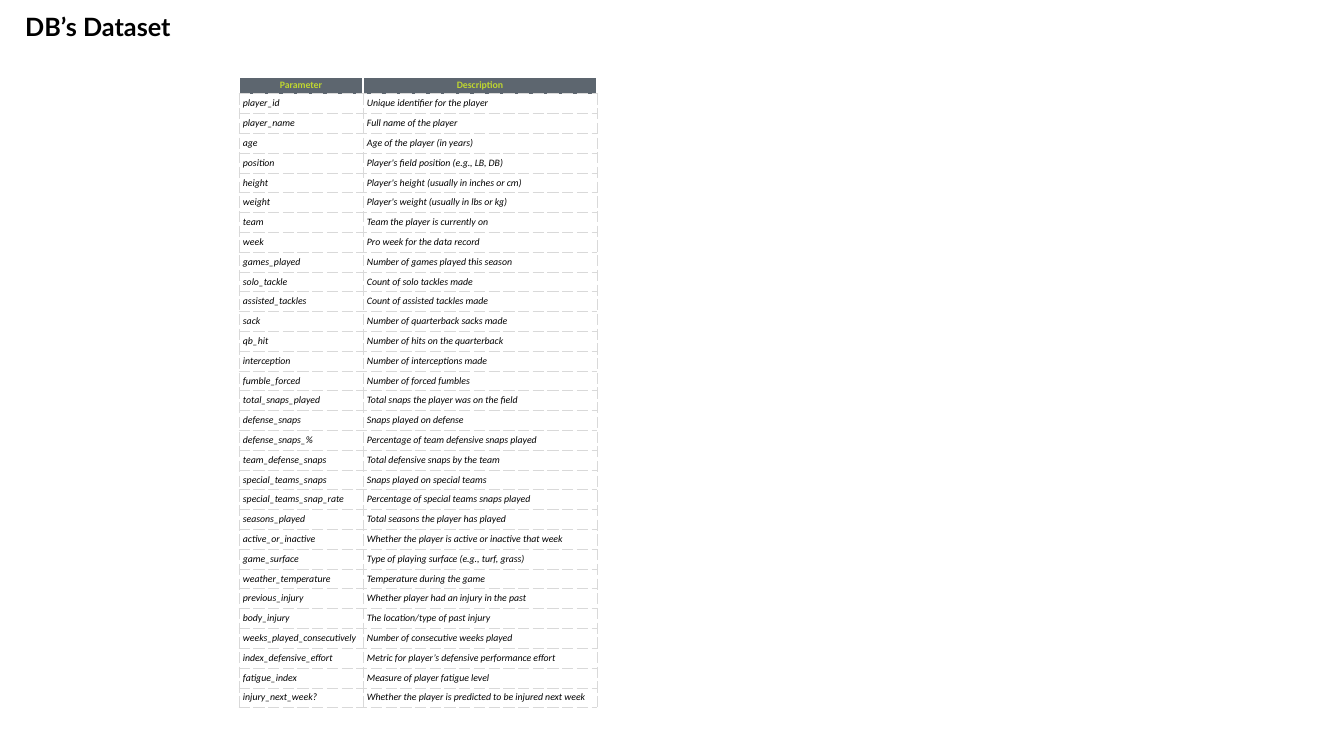
from dataclasses import dataclass

from pptx import Presentation
from pptx.dml.color import RGBColor as Color
from pptx.enum.text import MSO_ANCHOR as Anchor, MSO_AUTO_SIZE as AutoSize, PP_ALIGN as Align
from pptx.oxml import parse_xml
from pptx.oxml.ns import nsdecls
from pptx.util import Inches, Pt

PARAMETERS = [
    ("player_id", "Unique identifier for the player"),
    ("player_name", "Full name of the player"),
    ("age", "Age of the player (in years)"),
    ("position", "Player's field position (e.g., LB, DB)"),
    ("height", "Player's height (usually in inches or cm)"),
    ("weight", "Player's weight (usually in lbs or kg)"),
    ("team", "Team the player is currently on"),
    ("week", "Pro week for the data record"),
    ("games_played", "Number of games played this season"),
    ("solo_tackle", "Count of solo tackles made"),
    ("assisted_tackles", "Count of assisted tackles made"),
    ("sack", "Number of quarterback sacks made"),
    ("qb_hit", "Number of hits on the quarterback"),
    ("interception", "Number of interceptions made"),
    ("fumble_forced", "Number of forced fumbles"),
    ("total_snaps_played", "Total snaps the player was on the field"),
    ("defense_snaps", "Snaps played on defense"),
    ("defense_snaps_%", "Percentage of team defensive snaps played"),
    ("team_defense_snaps", "Total defensive snaps by the team"),
    ("special_teams_snaps", "Snaps played on special teams"),
    ("special_teams_snap_rate", "Percentage of special teams snaps played"),
    ("seasons_played", "Total seasons the player has played"),
    ("active_or_inactive", "Whether the player is active or inactive that week"),
    ("game_surface", "Type of playing surface (e.g., turf, grass)"),
    ("weather_temperature", "Temperature during the game"),
    ("previous_injury", "Whether player had an injury in the past"),
    ("body_injury", "The location/type of past injury"),
    ("weeks_played_consecutively", "Number of consecutive weeks played"),
    ("index_defensive_effort", "Metric for player’s defensive performance effort"),
    ("fatigue_index", "Measure of player fatigue level"),
    ("injury_next_week?", "Whether the player is predicted to be injured next week"),
]


@dataclass(frozen=True)
class Theme:
    text: str = "000000"
    paper: str = "FFFFFF"
    header_fill: str = "5D666F"
    header_text: str = "BFD630"
    grid: str = "D9D9D9"
    title_font: str = "Lato"
    table_font: str = "Calibri"
    title_size: int = 18
    table_size: int = 7


def apply(target, values):
    for name, value in values.items():
        setattr(target, name, value)


class SlideBuilder:
    def __init__(self, slide, theme):
        self.slide = slide
        self.theme = theme

    def title(self, text, left, top, width, height):
        shape = self.slide.shapes.title
        apply(shape, {"left": Inches(left), "top": Inches(top),
                      "width": Inches(width), "height": Inches(height)})
        frame = shape.text_frame
        frame.text = text
        apply(frame, {"word_wrap": True, "auto_size": AutoSize.SHAPE_TO_FIT_TEXT,
                      "vertical_anchor": Anchor.TOP})
        paragraph = frame.paragraphs[0]
        paragraph.alignment = Align.LEFT
        self.style(paragraph, self.theme.text, name=self.theme.title_font,
                   size=Pt(self.theme.title_size), bold=True)

    def style(self, paragraph, color, **values):
        font = paragraph.runs[0].font
        apply(font, values)
        font.color.rgb = Color.from_string(color)

    def table(self, rows, left, top, column_widths, header_height, row_height):
        width = Inches(sum(column_widths))
        height = Inches(header_height + row_height * (len(rows) - 1))
        table = self.slide.shapes.add_table(
            len(rows), len(column_widths), Inches(left), Inches(top), width, height).table
        apply(table, {"first_row": False, "horz_banding": False})
        for column, column_width in zip(table.columns, column_widths):
            column.width = Inches(column_width)
        for index, texts in enumerate(rows):
            is_header = index == 0
            table.rows[index].height = Inches(header_height if is_header else row_height)
            for cell, text in zip(table.rows[index].cells, texts):
                self.cell(cell, text, is_header)

    def cell(self, cell, text, is_header):
        theme = self.theme
        cell.text = text
        apply(cell, {"margin_left": Inches(0 if is_header else 0.04), "margin_top": 0,
                     "margin_right": 0, "margin_bottom": 0,
                     "vertical_anchor": Anchor.MIDDLE})
        cell.fill.solid()
        cell.fill.fore_color.rgb = Color.from_string(
            theme.header_fill if is_header else theme.paper)
        paragraph = cell.text_frame.paragraphs[0]
        paragraph.alignment = Align.CENTER if is_header else Align.LEFT
        self.style(paragraph, theme.header_text if is_header else theme.text,
                   name=theme.table_font, size=Pt(theme.table_size),
                   bold=is_header, italic=not is_header)
        self.borders(cell, is_header)

    def borders(self, cell, is_header):
        properties = cell._tc.get_or_add_tcPr()
        for index, side in enumerate("LRTB"):
            solid = is_header and side != "B"
            color, width, dash = ((self.theme.paper, 1, "solid") if solid
                                  else (self.theme.grid, 0.5, "sysDash"))
            properties.insert(index, parse_xml(
                f'<a:ln{side} {nsdecls("a")} w="{Pt(width)}">'
                f'<a:solidFill><a:srgbClr val="{color}"/></a:solidFill>'
                f'<a:prstDash val="{dash}"/></a:ln{side}>'))


def main():
    presentation = Presentation()
    apply(presentation, {"slide_width": Inches(13.33), "slide_height": Inches(7.5)})
    slide = presentation.slides.add_slide(presentation.slide_layouts[5])
    builder = SlideBuilder(slide, Theme())
    builder.table([("Parameter", "Description")] + PARAMETERS, left=2.37, top=0.77,
                  column_widths=(1.23, 2.32), header_height=0.16,
                  row_height=6.1 / len(PARAMETERS))
    builder.title("DB’s Dataset", 0.15, 0.06, 2.27, 0.4)
    presentation.save("out.pptx")


if __name__ == "__main__":
    main()
